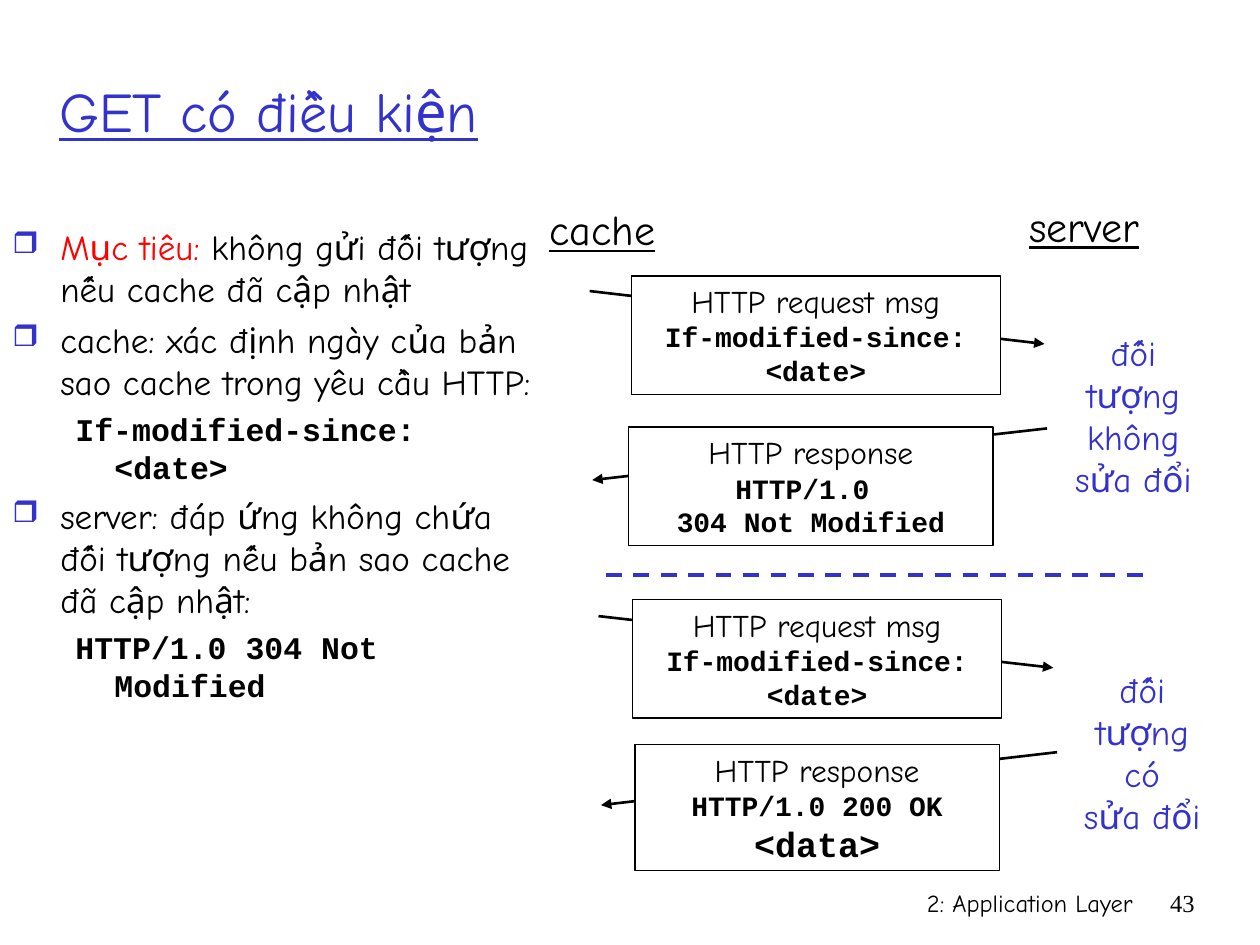
from lxml import etree
from pptx import Presentation
from pptx import util as u
from pptx.dml.color import RGBColor
from pptx.enum import dml, shapes, text
from pptx.oxml.ns import qn

PX = 9144  # 100 px to the inch
BLACK = RGBColor(0x00, 0x00, 0x00)
WHITE = RGBColor(0xFF, 0xFF, 0xFF)
BLUE = RGBColor(0x33, 0x33, 0xCC)
RED = RGBColor(0xFF, 0x00, 0x00)
HAND, CODE, SERIF = "Comic Neue", "Courier New", "Times New Roman"
CENTER, RIGHT = text.PP_ALIGN.CENTER, text.PP_ALIGN.RIGHT


def px(*lengths):
    return [u.Emu(length * PX) for length in lengths]


def span(words, size=20, font=HAND, color=BLACK, bold=False, underline=False):
    """Return one piece of text with its format."""
    return dict(words=words, size=size, font=font, color=color, bold=bold, underline=underline)


def code(words, size=16):
    return span(words, size=size, font=CODE, bold=True)


def add_mark(para, mark, color):
    props = para._p.get_or_add_pPr()
    holder = etree.SubElement(props, qn("a:buClr"))
    etree.SubElement(holder, qn("a:srgbClr"), val=str(color))
    etree.SubElement(props, qn("a:buSzPct"), val="85000")
    etree.SubElement(props, qn("a:buChar"), char=mark)


class Slide:
    def __init__(self, deck):
        self.page = deck.slides.add_slide(deck.slide_layouts[6])
        self.ink = BLACK
        self.arrow_width = 1.5
        self.border_width = 0.75

    def fill_para(self, para, spans, align=None):
        para.alignment = align
        for piece in spans:
            run = para.add_run()
            run.text = piece["words"]
            font = run.font
            font.size = u.Pt(piece["size"])
            font.name = piece["font"]
            font.color.rgb = piece["color"]
            font.bold = piece["bold"]
            font.underline = piece["underline"]

    def fill_lines(self, frame, lines, align):
        for i, line in enumerate(lines):
            para = frame.add_paragraph() if i else frame.paragraphs[0]
            self.fill_para(para, [line], align)

    def label(self, place, *lines, align=CENTER, wrap=False, anchor=text.MSO_ANCHOR.TOP):
        box = self.page.shapes.add_textbox(*px(*place))
        frame = box.text_frame
        frame.word_wrap = wrap
        frame.vertical_anchor = anchor
        self.fill_lines(frame, lines, align)

    def outline(self, place, items):
        """Marked points, each followed by its hanging code line if any."""
        frame = self.page.shapes.add_textbox(*px(*place)).text_frame
        frame.word_wrap = True
        for i, (marked, spans) in enumerate(items):
            para = frame.add_paragraph() if i else frame.paragraphs[0]
            margin, hang = px(38, 38) if marked else px(81, 31)
            props = para._p.get_or_add_pPr()
            props.set("marL", str(margin))
            props.set("indent", str(-hang))
            if marked:
                add_mark(para, "❒", BLUE)
            if i:
                para.space_before = u.Pt(5 if marked else 4.5)
            self.fill_para(para, spans)

    def message(self, place, *lines):
        box = self.page.shapes.add_shape(shapes.MSO_SHAPE.RECTANGLE, *px(*place))
        box.shadow.inherit = False
        box.fill.solid()
        box.fill.fore_color.rgb = WHITE
        box.line.color.rgb = self.ink
        box.line.width = u.Pt(self.border_width)
        frame = box.text_frame
        frame.word_wrap = True
        frame.vertical_anchor = text.MSO_ANCHOR.TOP
        self.fill_lines(frame, lines, CENTER)

    def line(self, ends, color, width):
        link = self.page.shapes.add_connector(shapes.MSO_CONNECTOR.STRAIGHT, *px(*ends))
        link.line.color.rgb = color
        link.line.width = u.Pt(width)
        etree.SubElement(link._element.spPr, qn("a:effectLst"))
        return link

    def arrow(self, *ends):
        link = self.line(ends, self.ink, self.arrow_width)
        etree.SubElement(link.line._get_or_add_ln(), qn("a:tailEnd"), type="triangle")

    def divider(self, *ends):
        self.line(ends, BLUE, 2.25).line.dash_style = dml.MSO_LINE.DASH


def main():
    deck = Presentation()
    deck.slide_width, deck.slide_height = px(1000, 750)
    slide = Slide(deck)

    # Footer
    slide.label((592, 700, 317, 50), span("2: Application Layer", size=14), align=RIGHT, wrap=True)
    slide.label((908, 700, 50, 50), span("43", size=14, font=SERIF), align=RIGHT, wrap=True)

    # Title and points
    slide.label((37, 25, 871, 125), span("GET có điều kiện", size=32, color=BLUE, underline=True),
                align=None, wrap=True, anchor=text.MSO_ANCHOR.MIDDLE)
    slide.outline((0, 174, 442, 471), [
        (True, [span("Mục tiêu:", color=RED),
                span(" không gửi đối tượng nếu cache đã cập nhật")]),
        (True, [span("cache: xác định ngày của bản sao cache trong yêu cầu HTTP:")]),
        (False, [code("If-modified-since: <date>", size=18)]),
        (True, [span("server: đáp ứng không chứa đối tượng nếu bản sao cache đã cập nhật:")]),
        (False, [code("HTTP/1.0 304 Not Modified", size=18)]),
    ])

    # Column heads
    slide.label((426, 157, 104, 50), span("cache", size=24, underline=True))
    slide.label((807, 154, 107, 50), span("server", size=24, underline=True))

    # Exchanges: request, response, then the case they show
    request = span("HTTP request msg", size=18), code("If-modified-since: <date>")
    response = span("HTTP response", size=18)
    exchanges = [
        ((468, 231, 829, 273), (501, 219, 293, 94),
         (831, 340, 470, 381), (499, 339, 289, 94),
         [code("HTTP/1.0 "), code("304 Not Modified")],
         (830, 258, 139, 110), "không"),
        ((475, 489, 836, 530), (502, 476, 293, 94),
         (839, 597, 477, 639), (504, 591, 289, 100),
         [code("HTTP/1.0 200 OK"), code("<data>", size=20)],
         (837, 526, 139, 110), "có"),
    ]
    for ask, ask_box, reply, reply_box, status, case_box, case in exchanges:
        slide.arrow(*ask)
        slide.message(ask_box, *request)
        slide.arrow(*reply)
        slide.message(reply_box, response, *status)
        slide.label(case_box, *[span(words, color=BLUE) for words in ("đối tượng", case, "sửa đổi")])
    slide.divider(481, 456, 908, 456)

    deck.save("out.pptx")


if __name__ == "__main__":
    main()
